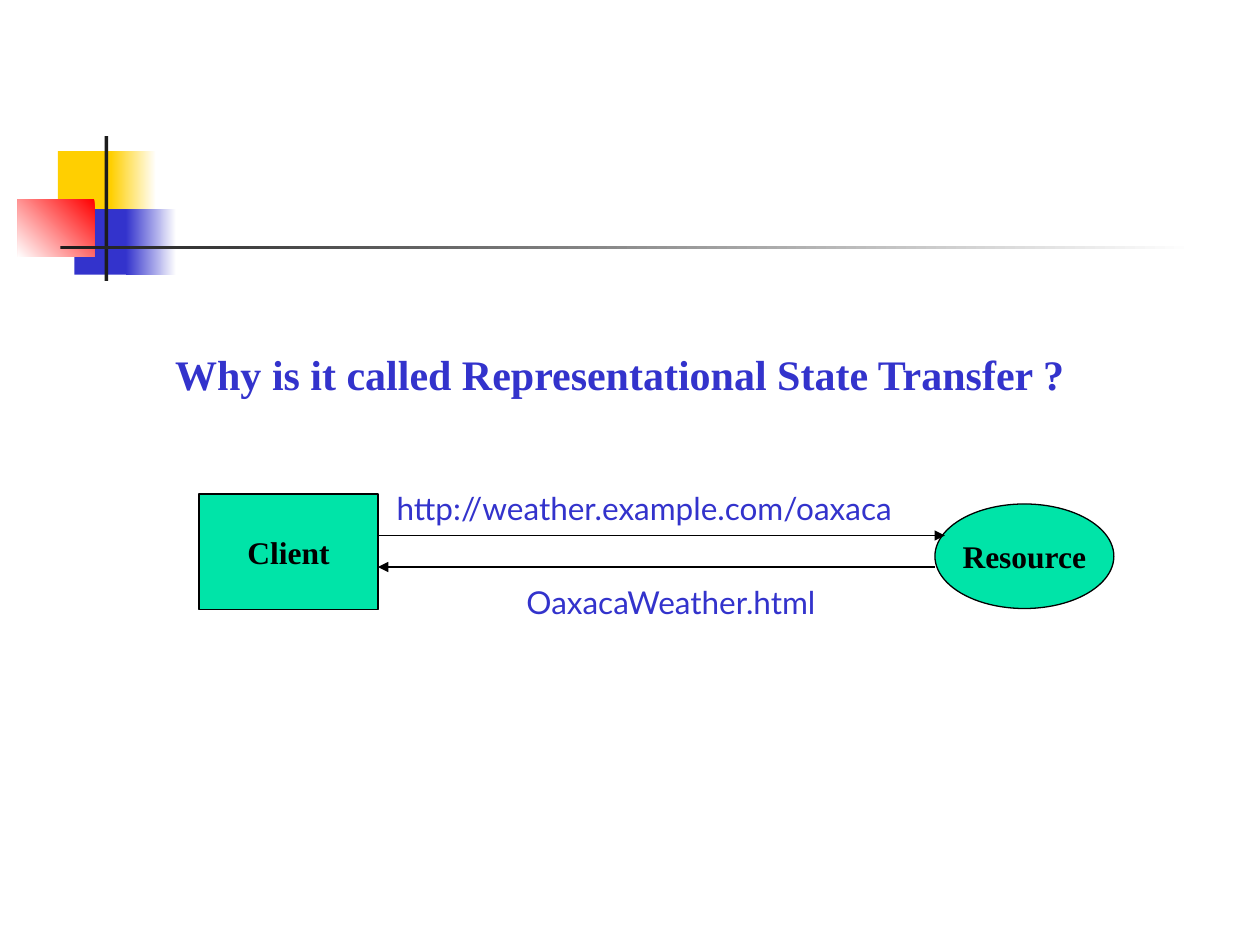
from pptx import Presentation
from pptx.dml.color import RGBColor
from pptx.enum.shapes import MSO_CONNECTOR, MSO_SHAPE
from pptx.enum.text import MSO_ANCHOR, MSO_AUTO_SIZE, PP_ALIGN
from pptx.oxml.ns import qn
from pptx.util import Inches, Pt
from lxml.etree import SubElement

THEME = {
    "gold": "FFCF01", "blue": "3333CC", "red": "FF0000", "dark": "1C1C1C",
    "white": "FFFFFF", "black": "000000", "green": "00E4A8",
    "serif": "Times New Roman", "sans": "Lato",
    "head": 24, "text": 18, "line": 0.75,
}

HEAD = "Why is it called Representational State Transfer ?"
# Box, colour, fade angle (None is solid)
DECOR = [
    ((0.46, 1.2, 0.48, 0.52), "gold", None),
    ((0.88, 1.2, 0.36, 0.52), "gold", 0),
    ((0.59, 1.66, 0.46, 0.52), "blue", None),
    ((1, 1.66, 0.4, 0.52), "blue", 0),
    ((0.14, 1.58, 0.61, 0.46), "red", 225),
    ((0.83, 1.08, 0.03, 1.15), "dark", None),
    ((0.48, 1.95, 9, 0.03), "dark", 0),
]
NODES = [
    ("Client", MSO_SHAPE.RECTANGLE, (1.58, 3.92, 1.42, 0.92)),
    ("Resource", MSO_SHAPE.OVAL, (7.42, 4, 1.42, 0.83)),
]
# Label, label box, arrow start x, arrow end x, arrow y
FLOWS = [
    ("http://weather.example.com/oaxaca", (3.05, 3.83, 4.53, 0.4), 3, 7.5, 4.25),
    ("OaxacaWeather.html", (4.08, 4.58, 2.68, 0.4), 7.42, 3, 4.5),
]


def rgb(name):
    return RGBColor.from_string(THEME[name])


def inch(box):
    return [Inches(v) for v in box]


def write(para, text, face, size, color, bold=False):
    run = para.add_run()
    run.text = text
    font = run.font
    font.name, font.size, font.bold = THEME[face], Pt(THEME[size]), bold
    font.color.rgb = rgb(color)


def add_block(slide, kind, box, color, fade=None):
    """Add a borderless shape, solid or fading to white."""
    shape = slide.shapes.add_shape(kind, *inch(box))
    shape.shadow.inherit = False
    shape.line.fill.background()
    fill = shape.fill
    if fade is None:
        fill.solid()
        fill.fore_color.rgb = rgb(color)
    else:
        fill.gradient()
        fill.gradient_angle = fade
        for stop, name in zip(fill.gradient_stops, (color, "white")):
            stop.color.rgb = rgb(name)
    return shape


def add_head(slide):
    body = slide.placeholders[1]
    body.left, body.top, body.width, body.height = inch((1.29, 2.21, 8.5, 4.5))
    frame = body.text_frame
    frame.margin_top = Inches(0.56)
    para = frame.paragraphs[0]
    para.space_before = Pt(0)
    props = para._p.get_or_add_pPr()
    props.set("marL", "0")
    props.set("indent", "0")
    SubElement(props, qn("a:buNone"))
    write(para, HEAD, "serif", "head", "blue", True)


def add_node(slide, text, kind, box):
    node = add_block(slide, kind, box, "green")
    node.line.color.rgb = rgb("black")
    node.line.width = Pt(THEME["line"])
    frame = node.text_frame
    frame.word_wrap = False
    frame.vertical_anchor = MSO_ANCHOR.MIDDLE
    para = frame.paragraphs[0]
    para.alignment = PP_ALIGN.CENTER
    write(para, text, "serif", "text", "black", True)


def add_flow(slide, text, box, start, end, y):
    arrow = slide.shapes.add_connector(
        MSO_CONNECTOR.STRAIGHT, *inch((start, y, end, y)))
    arrow.line.color.rgb = rgb("black")
    arrow.line.width = Pt(THEME["line"])
    SubElement(arrow.line._get_or_add_ln(), qn("a:tailEnd"), type="triangle")
    SubElement(arrow._element.spPr, qn("a:effectLst"))
    frame = slide.shapes.add_textbox(*inch(box)).text_frame
    frame.word_wrap = False
    frame.auto_size = MSO_AUTO_SIZE.SHAPE_TO_FIT_TEXT
    write(frame.paragraphs[0], text, "sans", "text", "blue")


def main():
    deck = Presentation()
    deck.slide_width, deck.slide_height = Inches(10), Inches(7.5)
    slide = deck.slides.add_slide(deck.slide_layouts[1])
    title = slide.shapes.title._element
    title.getparent().remove(title)
    for box, color, fade in DECOR:
        add_block(slide, MSO_SHAPE.RECTANGLE, box, color, fade)
    add_head(slide)
    for node in NODES:
        add_node(slide, *node)
    for flow in FLOWS:
        add_flow(slide, *flow)
    deck.save("out.pptx")


if __name__ == "__main__":
    main()
